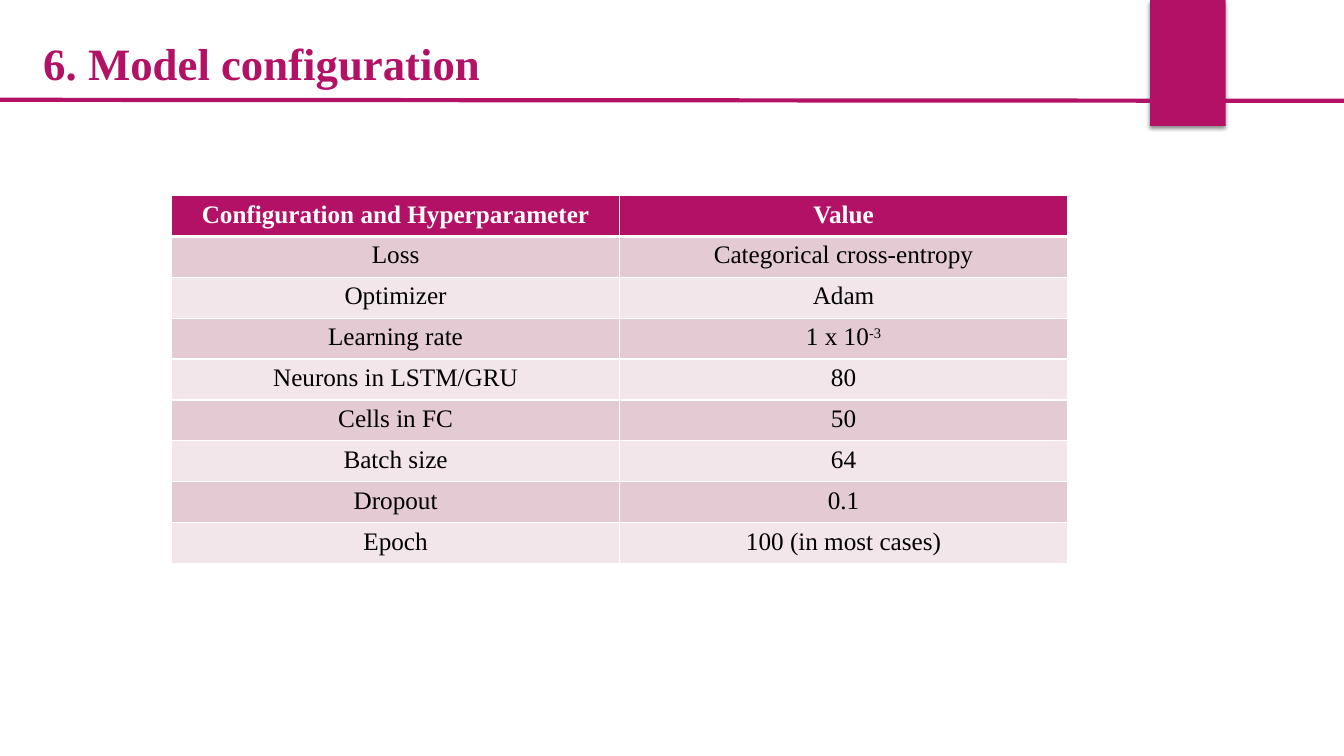
import pptx
import pptx.dml.color
import pptx.enum.shapes
import pptx.enum.text
import pptx.oxml
import pptx.oxml.ns
import pptx.util

Pt = pptx.util.Pt
RGBColor = pptx.dml.color.RGBColor

MAGENTA = RGBColor(0xB3, 0x11, 0x66)
WHITE = RGBColor(0xFF, 0xFF, 0xFF)
BLACK = RGBColor(0x00, 0x00, 0x00)
DARK_BAND = RGBColor(0xE4, 0xCA, 0xD2)
LIGHT_BAND = RGBColor(0xF2, 0xE6, 0xEA)

HEADINGS = ("Configuration and Hyperparameter", "Value")
SETTINGS = [
    ("Loss", "Categorical cross-entropy"),
    ("Optimizer", "Adam"),
    ("Learning rate", "1 x 10"),
    ("Neurons in LSTM/GRU", "80"),
    ("Cells in FC", "50"),
    ("Batch size", "64"),
    ("Dropout", "0.1"),
    ("Epoch", "100 (in most cases)"),
]
EXPONENTS = {"1 x 10": "-3"}


def add_xml(parent, markup):
    namespace = pptx.oxml.ns.nsdecls("a")
    parent.append(pptx.oxml.parse_xml(markup.replace(" ", f" {namespace} ", 1)))


def write(para, text, size=18, color=BLACK, bold=False, font="Times New Roman", raised=False):
    span = para.add_run()
    span.text = text
    span.font.name = font
    span.font.size = Pt(size)
    span.font.bold = bold
    span.font.color.rgb = color
    if raised:
        span.font._element.set("baseline", "30000")


class Page:
    def __init__(self, deck, accent):
        self.accent = accent
        self.shapes = deck.slides.add_slide(deck.slide_layouts[6]).shapes

    def ribbon(self, left, top, width, height):
        shape = self.shapes.add_shape(
            pptx.enum.shapes.MSO_SHAPE.RECTANGLE, Pt(left), Pt(top), Pt(width), Pt(height))
        shape.fill.solid()
        shape.fill.fore_color.rgb = self.accent
        shape.line.fill.background()
        add_xml(shape._element.spPr,
                f'<a:effectLst ><a:outerShdw blurRad="{Pt(3)}" dist="{Pt(2)}" dir="5400000" '
                'rotWithShape="0"><a:srgbClr val="000000"><a:alpha val="45000"/></a:srgbClr>'
                '</a:outerShdw></a:effectLst>')

    def title(self, text, left, top, width, height):
        frame = self.shapes.add_textbox(Pt(left), Pt(top), Pt(width), Pt(height)).text_frame
        frame.word_wrap = True
        frame.margin_top = Pt(6.8)
        write(frame.paragraphs[0], text, size=32, color=self.accent, bold=True)

    def rule(self, start, end, weight):
        line = self.shapes.add_connector(
            pptx.enum.shapes.MSO_CONNECTOR.STRAIGHT, *map(Pt, start + end))
        line.line.color.rgb = self.accent
        line.line.width = Pt(weight)
        add_xml(line._element.spPr, "<a:effectLst />")

    def table(self, rows, left, top, width, height):
        table = self.shapes.add_table(
            len(rows), len(rows[0]), Pt(left), Pt(top), Pt(width), Pt(height)).table
        for row in table.rows:
            row.height = Pt(height / len(rows))
        for row_index, texts in enumerate(rows):
            for column_index, text in enumerate(texts):
                self.cell(table.cell(row_index, column_index), text, row_index)

    def cell(self, cell, text, row_index):
        header = row_index == 0
        weights = {"L": 1, "R": 1, "T": 3 if row_index == 1 else 1, "B": 3 if header else 1}
        for side, weight in weights.items():
            add_xml(cell._tc.get_or_add_tcPr(),
                    f'<a:ln{side} w="{Pt(weight)}"><a:solidFill><a:srgbClr val="{WHITE}"/>'
                    f'</a:solidFill></a:ln{side}>')
        cell.fill.solid()
        band = DARK_BAND if row_index % 2 else LIGHT_BAND
        cell.fill.fore_color.rgb = self.accent if header else band
        para = cell.text_frame.paragraphs[0]
        para.alignment = pptx.enum.text.PP_ALIGN.CENTER
        write(para, text, color=WHITE if header else BLACK, bold=header)
        if text in EXPONENTS:
            write(para, EXPONENTS[text], raised=True)


def main():
    deck = pptx.Presentation()
    deck.slide_width, deck.slide_height = Pt(960), Pt(540)
    page = Page(deck, MAGENTA)
    page.ribbon(821.5, 0, 54, 90)
    page.title("6. Model configuration", 23.8, 18.7, 738.7, 44)
    page.rule((0, 71.3), (960, 72), weight=3)
    page.table([HEADINGS] + SETTINGS, 122.6, 139.7, 640, 262.8)
    deck.save("out.pptx")


if __name__ == "__main__":
    main()
